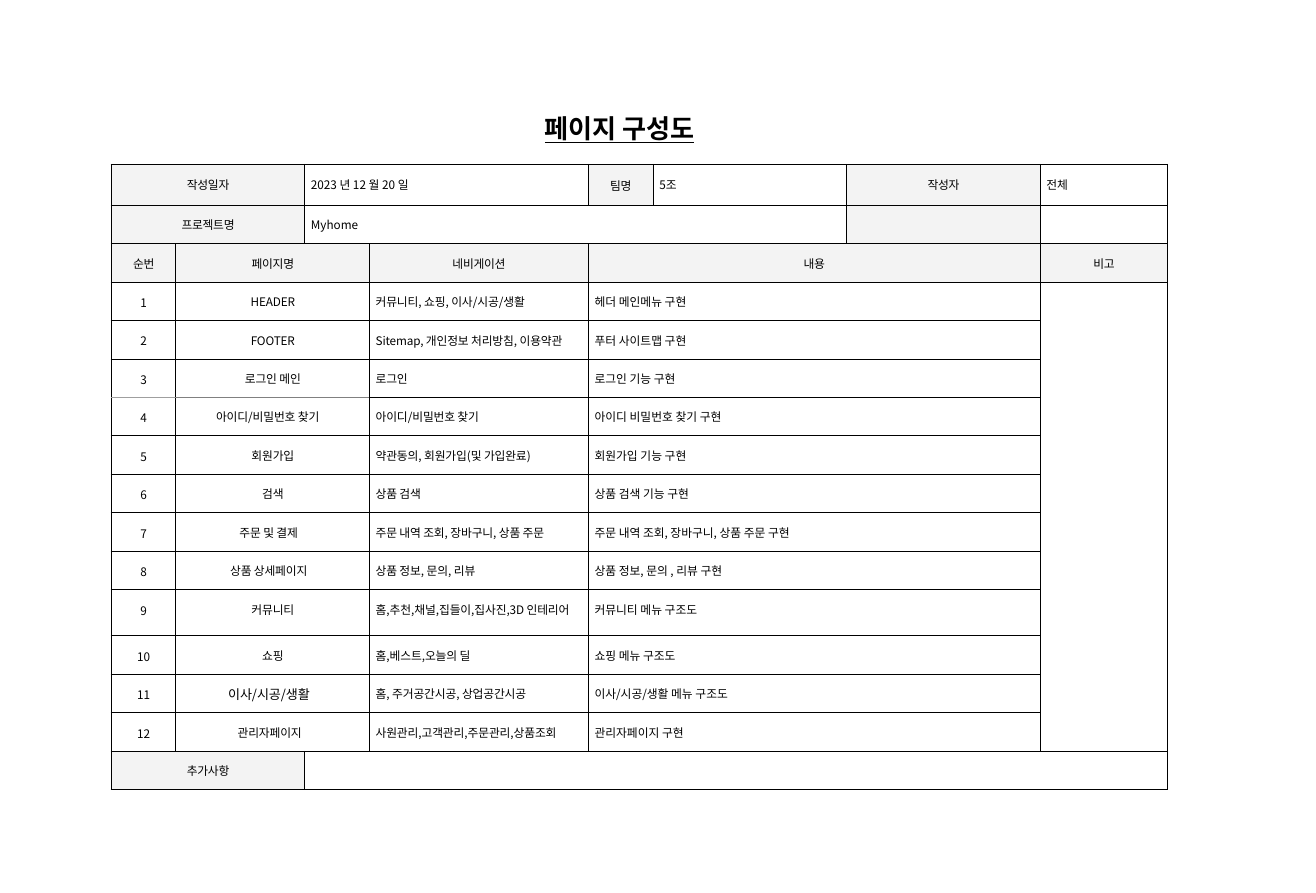
from lxml.etree import SubElement
from pptx import Presentation
from pptx.dml.color import RGBColor
from pptx.enum.text import MSO_ANCHOR, MSO_AUTO_SIZE, PP_ALIGN
from pptx.oxml.ns import qn
from pptx.util import Pt

PX = 9144  # 100 px to the inch
FONT = "Noto Sans CJK KR"
BLACK = RGBColor(0x00, 0x00, 0x00)
LABEL_FILL = RGBColor(0xF3, 0xF3, 0xF3)
WHITE = RGBColor(0xFF, 0xFF, 0xFF)
GRAY = RGBColor(0x80, 0x80, 0x80)
LIGHT_GRAY = RGBColor(0x9F, 0x9F, 0x9F)

COLUMNS = [69, 137, 69, 233, 69, 206, 206, 136]
ROW_HEIGHT, FIRST_ROW_HEIGHT, WRAPPED_ROW_HEIGHT = 41, 43, 49
ROW_COUNT, FIRST_PAGE_ROW, COMMUNITY_ROW = 16, 3, 11
LAST_ROW = ROW_COUNT - 1

# Page name, navigation, content
PAGES = [
    ("HEADER", "커뮤니티, 쇼핑, 이사/시공/생활", "헤더 메인메뉴 구현"),
    ("FOOTER", "Sitemap, 개인정보 처리방침, 이용약관", "푸터 사이트맵 구현"),
    ("로그인 메인", "로그인", "로그인 기능 구현"),
    ("아이디/비밀번호 찾기", "아이디/비밀번호 찾기", "아이디 비밀번호 찾기 구현"),
    ("회원가입", "약관동의, 회원가입(및 가입완료)", "회원가입 기능 구현"),
    ("검색", "상품 검색", "상품 검색 기능 구현"),
    ("주문 및 결제", "주문 내역 조회, 장바구니, 상품 주문", "주문 내역 조회, 장바구니, 상품 주문 구현"),
    ("상품 상세페이지", "상품 정보, 문의, 리뷰", "상품 정보, 문의 , 리뷰 구현"),
    ("커뮤니티", "홈,추천,채널,집들이,집사진,3D 인테리어", "커뮤니티 메뉴 구조도"),
    ("쇼핑", "홈,베스트,오늘의 딜", "쇼핑 메뉴 구조도"),
    ("이사/시공/생활", "홈, 주거공간시공, 상업공간시공", "이사/시공/생활 메뉴 구조도"),
    ("관리자페이지", "사원관리,고객관리,주문관리,상품조회", "관리자페이지 구현"),
]
# Page names that are indented instead of centred
NAME_INDENTS = {4: 43, 7: 68, 8: 58, 11: 56, 12: 66}


def format_para(para, size, indent, spacing=0, bold=False):
    para._p.get_or_add_pPr().set("marL", str(indent * PX))
    para._p.get_or_add_pPr().set("indent", "0")
    for span in para.runs:
        span.font.size = Pt(size)
        span.font.bold = bold
        span.font.underline = bold
        span.font.color.rgb = BLACK
        span.font.name = FONT
        properties = span._r.get_or_add_rPr()
        properties.set("spc", str(spacing))
        SubElement(properties, qn("a:ea")).set("typeface", FONT)


def set_borders(cell, top=(BLACK, 0.25), bottom=(BLACK, 0.25)):
    side = (BLACK, 0.25)
    properties = cell._tc.get_or_add_tcPr()
    for tag, (color, width) in zip(("L", "R", "T", "B"), (side, side, top, bottom)):
        line = SubElement(properties, qn("a:ln" + tag), w=str(int(Pt(width))))
        fill = SubElement(line, qn("a:solidFill"))
        SubElement(fill, qn("a:srgbClr"), val=str(color))


def row_borders(row, column):
    heavy = (BLACK, 1)
    gray = (LIGHT_GRAY if column == 0 else GRAY, 0.25)
    borders = {}
    if row == 0:
        borders["top"] = heavy
    if row == LAST_ROW:
        borders["bottom"] = heavy
    # Faint line between pages 3 and 4
    if column < 3 and row == FIRST_PAGE_ROW + 2:
        borders["bottom"] = gray
    if column < 3 and row == FIRST_PAGE_ROW + 3:
        borders["top"] = gray
    return borders


def add_grid(page):
    table = page.shapes.add_table(ROW_COUNT, len(COLUMNS), 118 * PX, 175 * PX,
                                  sum(COLUMNS) * PX, 659 * PX).table
    table.first_row = table.horz_banding = False
    for column, width in zip(table.columns, COLUMNS):
        column.width = width * PX
    for row in table.rows:
        row.height = ROW_HEIGHT * PX
    table.rows[0].height = FIRST_ROW_HEIGHT * PX
    table.rows[COMMUNITY_ROW].height = WRAPPED_ROW_HEIGHT * PX
    for row in range(ROW_COUNT):
        for column in range(len(COLUMNS)):
            cell = table.cell(row, column)
            set_borders(cell, **row_borders(row, column))
            cell.fill.solid()
            cell.fill.fore_color.rgb = WHITE
            cell.margin_left = cell.margin_right = 0
            cell.margin_top = cell.margin_bottom = 0
    return table


def fill_cell(table, row, column, text="", columns=1, rows=1, indent=7,
              centered=False, size=9, spacing=0, top=12):
    cell = table.cell(row, column)
    if columns > 1 or rows > 1:
        cell.merge(table.cell(row + rows - 1, column + columns - 1))
    if text:
        cell.margin_top = top * PX
        cell.text_frame.text = text
        para = cell.text_frame.paragraphs[0]
        para.alignment = PP_ALIGN.CENTER if centered else PP_ALIGN.LEFT
        format_para(para, size, 1 if centered else indent, spacing)
    return cell


def fill_label(table, row, column, text="", columns=1, top=12):
    cell = fill_cell(table, row, column, text, columns, centered=True, spacing=-20, top=top)
    cell.fill.fore_color.rgb = LABEL_FILL


def fill_page_row(table, number, name, navigation, content):
    row = FIRST_PAGE_ROW + number - 1
    fill_cell(table, row, 0, str(number), centered=True, top=13)
    fill_cell(table, row, 1, name, columns=2, centered=number not in NAME_INDENTS,
              indent=NAME_INDENTS.get(number, 0), size=10 if number == 11 else 9,
              spacing=-10, top=11 if number == 11 else 12)
    fill_cell(table, row, 3, navigation, spacing=-10)
    fill_cell(table, row, 4, content, columns=3)


def add_title(page, text):
    title = page.shapes.title
    title.left, title.top, title.width, title.height = 579 * PX, 119 * PX, 179 * PX, 36 * PX
    frame = title.text_frame
    frame.text = text
    frame.auto_size = MSO_AUTO_SIZE.NONE
    frame.vertical_anchor = MSO_ANCHOR.TOP
    frame.margin_left = frame.margin_right = frame.margin_bottom = 0
    frame.margin_top = PX
    frame.paragraphs[0].alignment = PP_ALIGN.LEFT
    format_para(frame.paragraphs[0], 20, 1, spacing=-10, bold=True)


def main():
    deck = Presentation()
    deck.slide_width, deck.slide_height = 1401 * PX, 951 * PX
    page = deck.slides.add_slide(deck.slide_layouts[5])
    add_title(page, "페이지 구성도")
    table = add_grid(page)

    # Project details
    fill_label(table, 0, 0, "작성일자", columns=2)
    fill_cell(table, 0, 2, "2023 년 12 월 20 일", columns=2)
    fill_label(table, 0, 4, "팀명", top=13)
    fill_cell(table, 0, 5, "5조")
    fill_label(table, 0, 6, "작성자")
    fill_cell(table, 0, 7, "전체")
    fill_label(table, 1, 0, "프로젝트명", columns=2)
    fill_cell(table, 1, 2, "Myhome", columns=4)
    fill_label(table, 1, 6)

    # Column headings
    headings = [(0, "순번", 1), (1, "페이지명", 2), (3, "네비게이션", 1),
                (4, "내용", 3), (7, "비고", 1)]
    for column, text, columns in headings:
        fill_label(table, 2, column, text, columns)

    # Pages and the shared remarks cell
    for number, texts in enumerate(PAGES, 1):
        fill_page_row(table, number, *texts)
    fill_cell(table, FIRST_PAGE_ROW, 7, rows=len(PAGES))

    # Additional notes
    fill_label(table, LAST_ROW, 0, "추가사항", columns=2)
    fill_cell(table, LAST_ROW, 2, columns=6)
    deck.save("out.pptx")


if __name__ == "__main__":
    main()
